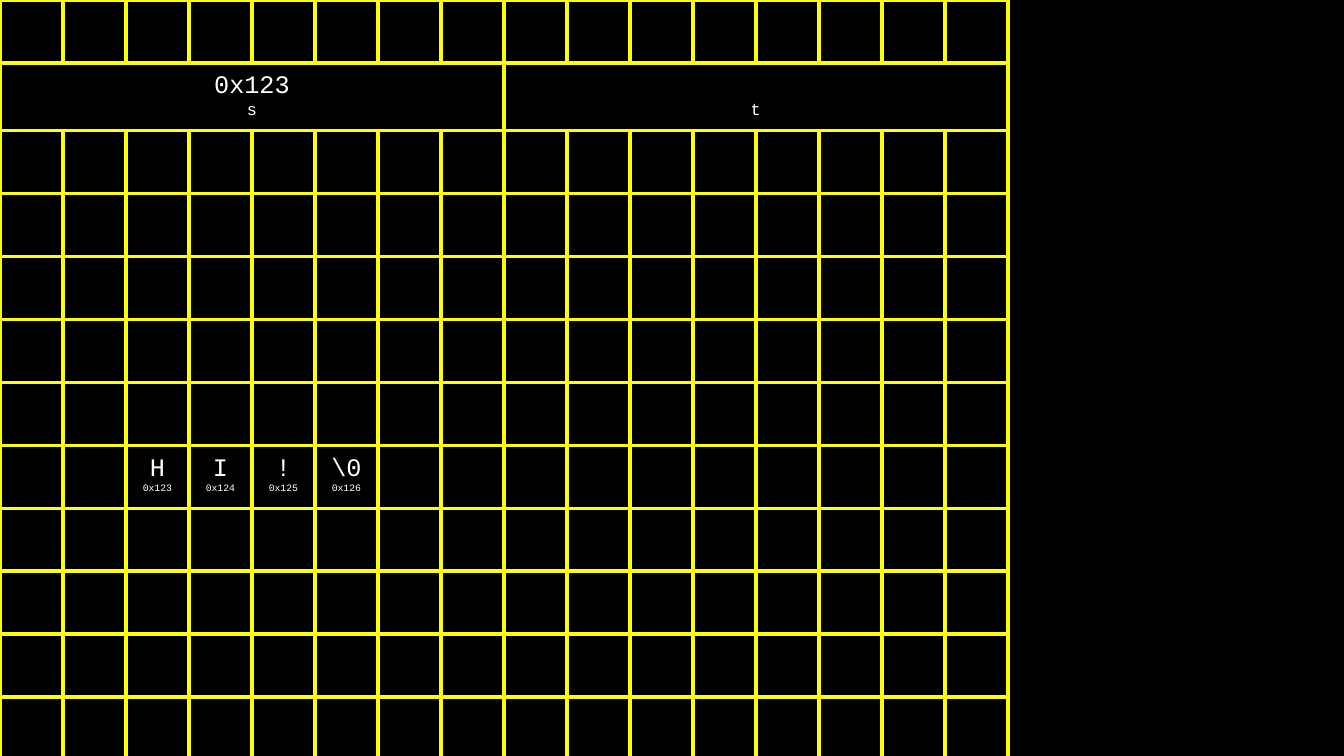
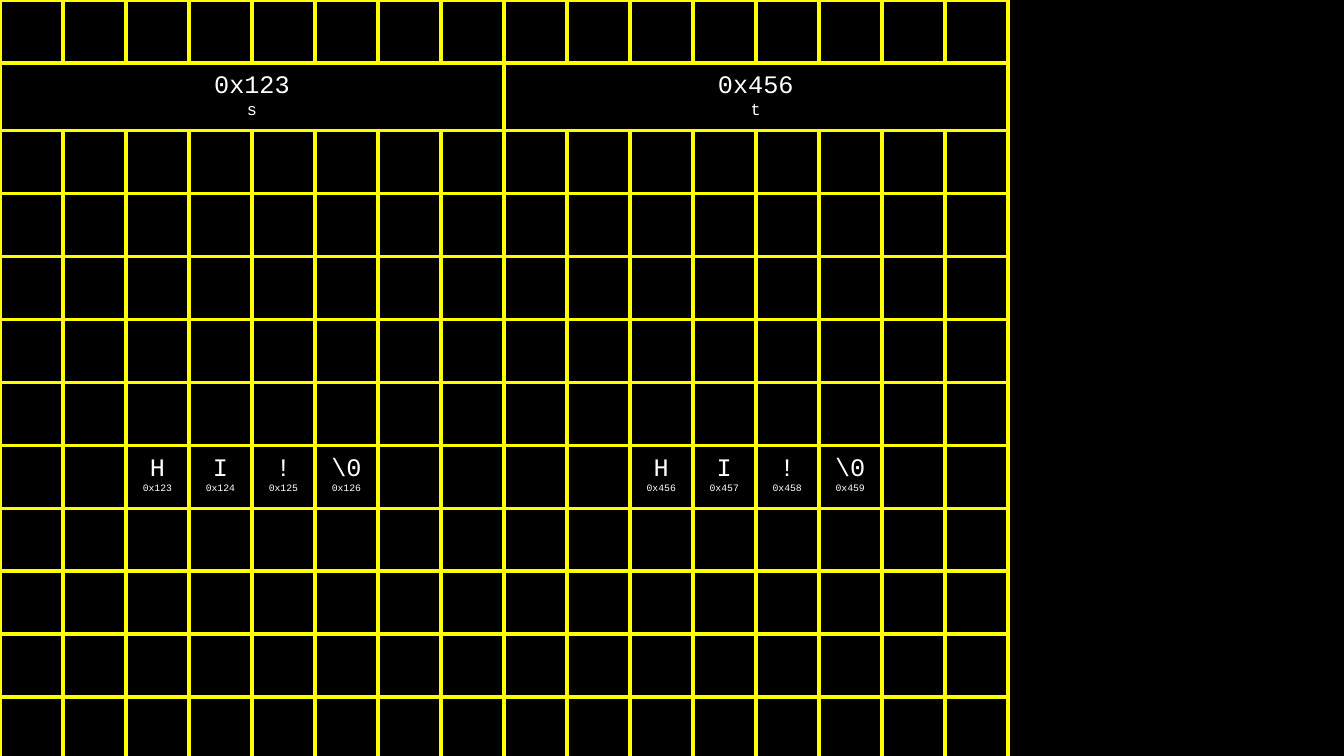
from dataclasses import dataclass

from lxml.etree import SubElement
from pptx import Presentation
from pptx.dml.color import RGBColor
from pptx.enum.text import MSO_ANCHOR, PP_ALIGN
from pptx.oxml.ns import qn
from pptx.presentation import Presentation as Deck
from pptx.table import Table, _Cell as Cell
from pptx.util import Emu, Pt

BLACK = RGBColor(0x00, 0x00, 0x00)
WHITE = RGBColor(0xFF, 0xFF, 0xFF)
YELLOW = RGBColor(0xFF, 0xFF, 0x00)
FONT = "Courier New"

EMU_PER_PX = 12192000 / 1344
SLIDE_W, SLIDE_H = 1344, 756
BYTE_SIZE = 63
INSET = 10
ROWS, COLS = 12, 16
POINTER_ROW, POINTER_BYTES = 1, 8
STRING_ROW = 7
VALUE_SIZE, NAME_SIZE, ADDRESS_SIZE = 18, 12, 7
BORDER_SIZE = 3


@dataclass(frozen=True)
class Pointer:
    name: str
    col: int
    value: str = ""


@dataclass(frozen=True)
class StoredString:
    col: int
    address: int
    chars: tuple[str, ...] = ("H", "I", "!", "\\0")


@dataclass(frozen=True)
class Memory:
    pointers: tuple[Pointer, ...]
    strings: tuple[StoredString, ...]


S = Pointer("s", 0, "0x123")
S_STRING = StoredString(2, 0x123)
MEMORIES = (
    Memory((S, Pointer("t", 8)), (S_STRING,)),
    Memory((S, Pointer("t", 8, "0x456")), (S_STRING, StoredString(10, 0x456))),
)


def px(length: int) -> Emu:
    return Emu(round(length * EMU_PER_PX))


def style_cell(cell: Cell) -> None:
    properties = cell._tc.get_or_add_tcPr()
    for side in ("lnL", "lnR", "lnT", "lnB"):
        line = SubElement(properties, qn(f"a:{side}"), w=str(Pt(BORDER_SIZE)))
        fill = SubElement(line, qn("a:solidFill"))
        SubElement(fill, qn("a:srgbClr"), val=str(YELLOW))
    cell.fill.background()


def write_cell(cell: Cell, value: str, label: str, label_size: int) -> None:
    cell.margin_left = cell.margin_right = px(INSET)
    cell.margin_top = cell.margin_bottom = px(INSET)
    lines = [(text, size) for text, size in ((value, VALUE_SIZE), (label, label_size)) if text]
    frame = cell.text_frame
    for index, (text, size) in enumerate(lines):
        paragraph = frame.add_paragraph() if index else frame.paragraphs[0]
        paragraph.alignment = PP_ALIGN.CENTER
        run = paragraph.add_run()
        run.text = text
        run.font.name = FONT
        run.font.size = Pt(size)
        run.font.color.rgb = WHITE


def draw_pointer(grid: Table, pointer: Pointer) -> None:
    cell = grid.cell(POINTER_ROW, pointer.col)
    cell.merge(grid.cell(POINTER_ROW, pointer.col + POINTER_BYTES - 1))
    write_cell(cell, pointer.value, pointer.name, NAME_SIZE)
    cell.vertical_anchor = MSO_ANCHOR.BOTTOM


def draw_string(grid: Table, string: StoredString) -> None:
    for offset, char in enumerate(string.chars):
        cell = grid.cell(STRING_ROW, string.col + offset)
        write_cell(cell, char, f"0x{string.address + offset:x}", ADDRESS_SIZE)


def add_memory_slide(deck: Deck, memory: Memory) -> None:
    slide = deck.slides.add_slide(deck.slide_layouts.get_by_name("Blank"))
    grid = slide.shapes.add_table(
        ROWS, COLS, px(0), px(0), px(COLS * BYTE_SIZE), px(ROWS * BYTE_SIZE)
    ).table
    grid.first_row = grid.horz_banding = False
    for column in grid.columns:
        column.width = px(BYTE_SIZE)
    for row in grid.rows:
        row.height = px(BYTE_SIZE)
    for cell in grid.iter_cells():
        style_cell(cell)
    for pointer in memory.pointers:
        draw_pointer(grid, pointer)
    for string in memory.strings:
        draw_string(grid, string)


def main() -> None:
    deck = Presentation()
    deck.slide_width, deck.slide_height = px(SLIDE_W), px(SLIDE_H)
    backdrop = deck.slide_master.background.fill
    backdrop.solid()
    backdrop.fore_color.rgb = BLACK
    for memory in MEMORIES:
        add_memory_slide(deck, memory)
    deck.save("out.pptx")


if __name__ == "__main__":
    main()
